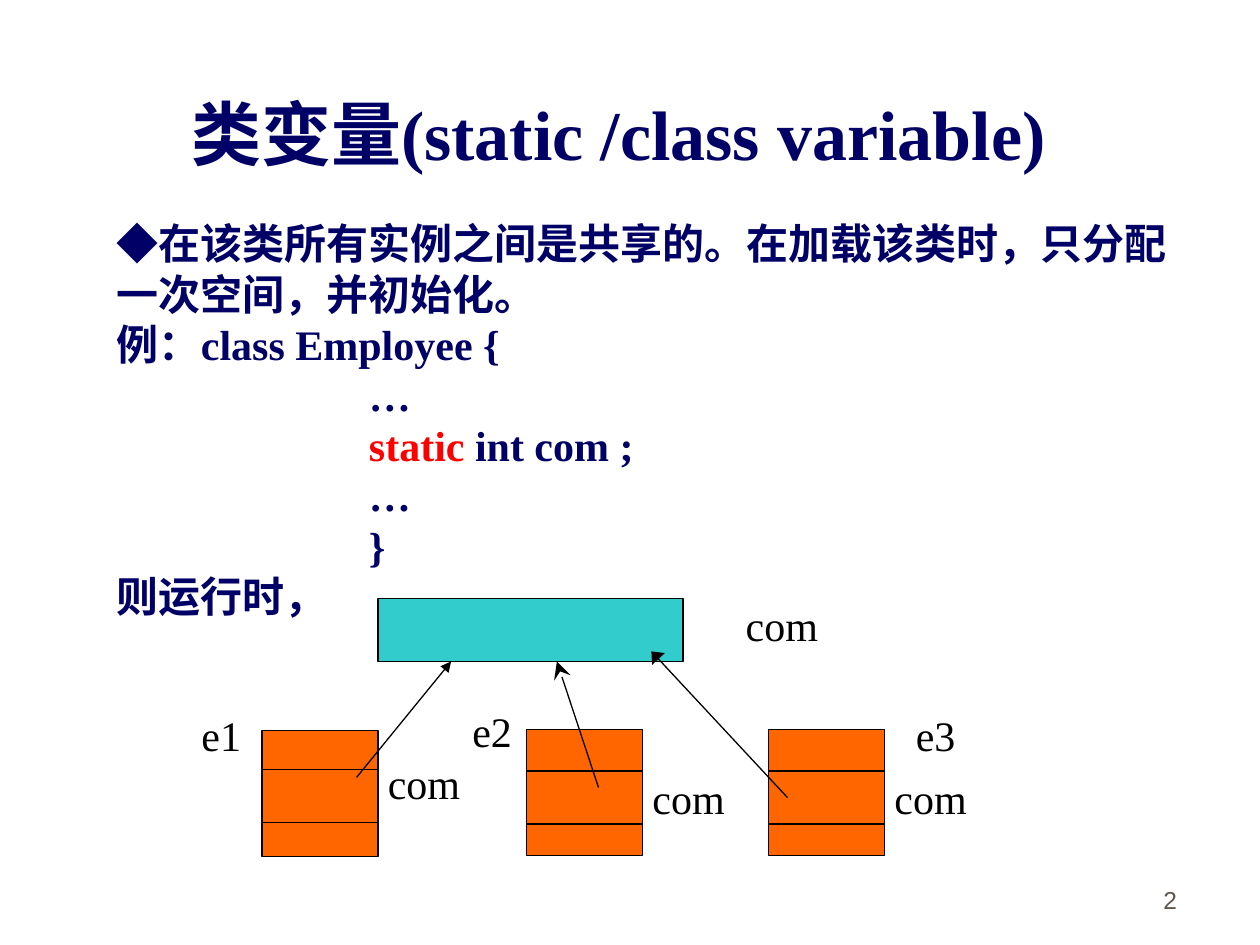
from pptx import Presentation
from pptx.dml.color import RGBColor
from pptx.enum.shapes import MSO_CONNECTOR, MSO_SHAPE
from pptx.enum.text import MSO_ANCHOR, MSO_AUTO_SIZE, PP_ALIGN
from pptx.oxml.ns import qn
from pptx.util import Inches, Pt
from lxml.etree import SubElement

COLORS = {"navy": "000066", "red": "FF0000", "black": "000000",
          "teal": "33CCCC", "orange": "FF6600", "gray": "5E574E"}

deck = Presentation()
deck.slide_width, deck.slide_height = Inches(10), Inches(7.5)
page = deck.slides.add_slide(deck.slide_layouts[6])


def add_text(text, left, top, width, height=0.5, size=24, color="black", bold=False,
             font="Times New Roman", wrap=False, align=PP_ALIGN.LEFT,
             anchor=MSO_ANCHOR.TOP, highlight=None, indented=()):
    box = page.shapes.add_textbox(Inches(left), Inches(top), Inches(width), Inches(height))
    frame = box.text_frame
    frame.word_wrap = wrap
    frame.auto_size = MSO_AUTO_SIZE.NONE if wrap else MSO_AUTO_SIZE.SHAPE_TO_FIT_TEXT
    frame.vertical_anchor = anchor
    for index, line in enumerate(text.split("\n")):
        para = frame.paragraphs[0] if index == 0 else frame.add_paragraph()
        para.alignment = align
        if index in indented:
            properties = para._p.get_or_add_pPr()
            properties.set("marL", str(Inches(2)))
            properties.set("indent", "0")
        before, match, after = line.partition(highlight) if highlight else (line, "", "")
        for part, shade in ((before, color), (match, "red"), (after, color)):
            if part:
                span = para.add_run()
                span.text = part
                span.font.name = font
                span.font.size = Pt(size)
                span.font.bold = bold
                span.font.color.rgb = RGBColor.from_string(COLORS[shade])


def add_line(start, end, head=None, head_width="med", head_length="med"):
    line = page.shapes.add_connector(MSO_CONNECTOR.STRAIGHT,
                                     *(Inches(value) for value in start + end))
    line.line.color.rgb = RGBColor.from_string(COLORS["black"])
    line.line.width = Pt(0.75)
    if head:
        SubElement(line.line._get_or_add_ln(), qn("a:tailEnd"),
                   type=head, w=head_width, len=head_length)
    SubElement(line._element.spPr, qn("a:effectLst"))


add_text("2", 7.36, 6.81, 2.08, size=14, color="gray", font="Arial", wrap=True,
         align=PP_ALIGN.RIGHT, anchor=MSO_ANCHOR.BOTTOM)
add_text("类变量(static /class variable)", 1.42, 0.67, 7.68, 0.77,
         size=40, color="navy", bold=True, wrap=True)
body = [
    "◆在该类所有实例之间是共享的。在加载该类时，只分配",
    "一次空间，并初始化。",
    "例：class Employee {",
    "…",
    "static int com ;",
    "…",
    "}",
    "则运行时，",
]
add_text("\n".join(body), 0.83, 1.68, 8.57, 3.3, color="navy", bold=True,
         highlight="static ", indented=range(3, 7))

object_width = 0.92
objects = [(2.08, 5.8, 0.31, 0.16), (4.18, 5.79, 0.33, 0.29), (6.1, 5.79, 0.33, 0.29)]
blocks = [(3, 4.75, 2.42, 0.5, "teal")]
blocks += [(left, top, object_width, 1, "orange") for left, top, _, _ in objects]
for left, top, width, height, color in blocks:
    block = page.shapes.add_shape(MSO_SHAPE.RECTANGLE, Inches(left), Inches(top),
                                  Inches(width), Inches(height))
    block.shadow.inherit = False
    block.fill.solid()
    block.fill.fore_color.rgb = RGBColor.from_string(COLORS[color])
    block.line.color.rgb = RGBColor.from_string(COLORS["black"])
    block.line.width = Pt(0.75)

label_width = 0.78
add_text("com", 5.82, 4.71, label_width)
for left, top, field_offset, label_offset in objects:
    for offset in (field_offset, field_offset + 0.42):
        add_line((left, top + offset), (left + object_width, top + offset))
    add_text("com", left + 0.9, top + label_offset, label_width)

for arrow in [((2.83, 6.17), (3.58, 5.25), "triangle"),
              ((4.75, 6.25), (4.42, 5.25), "stealth", "lg", "lg"),
              ((6.25, 6.33), (5.17, 5.17), "triangle", "lg")]:
    add_line(*arrow)

for name, left, top in [("e1", 1.5, 5.58), ("e2", 3.65, 5.55), ("e3", 7.17, 5.58)]:
    add_text(name, left, top, 0.52)

deck.save("out.pptx")
